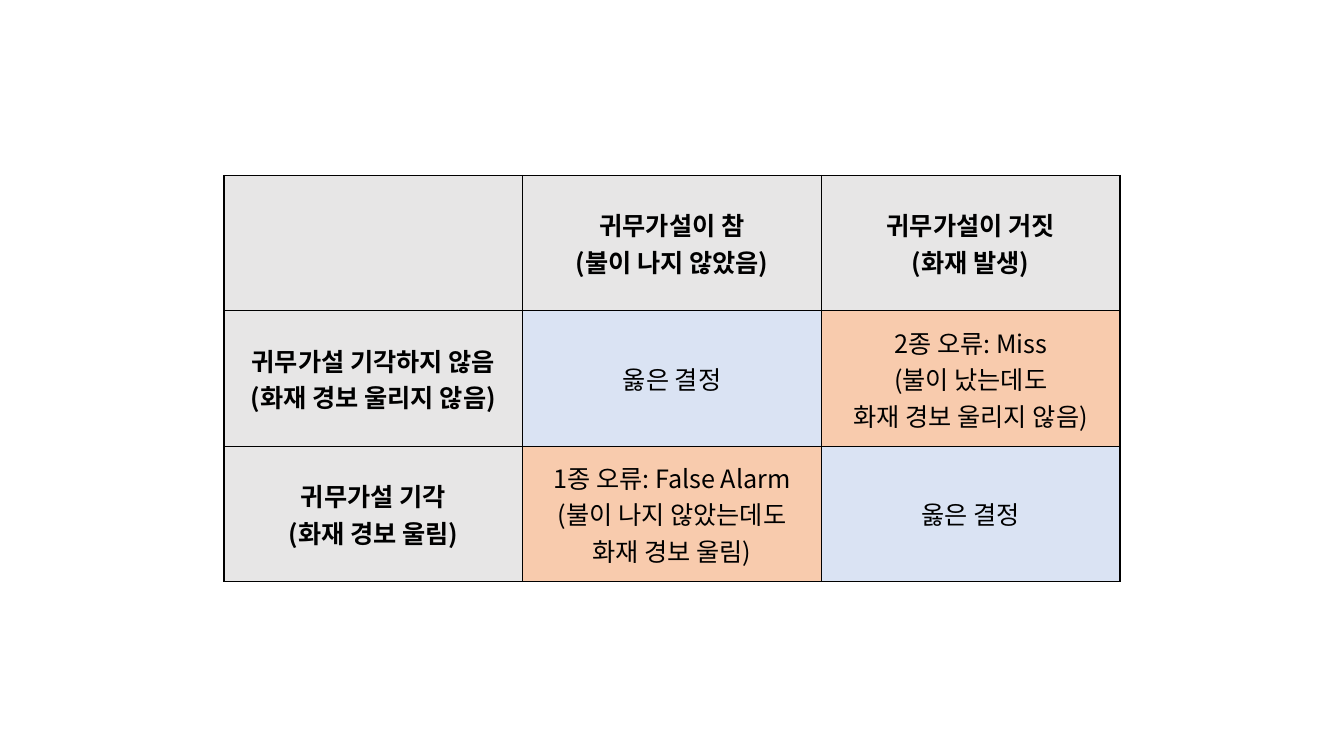
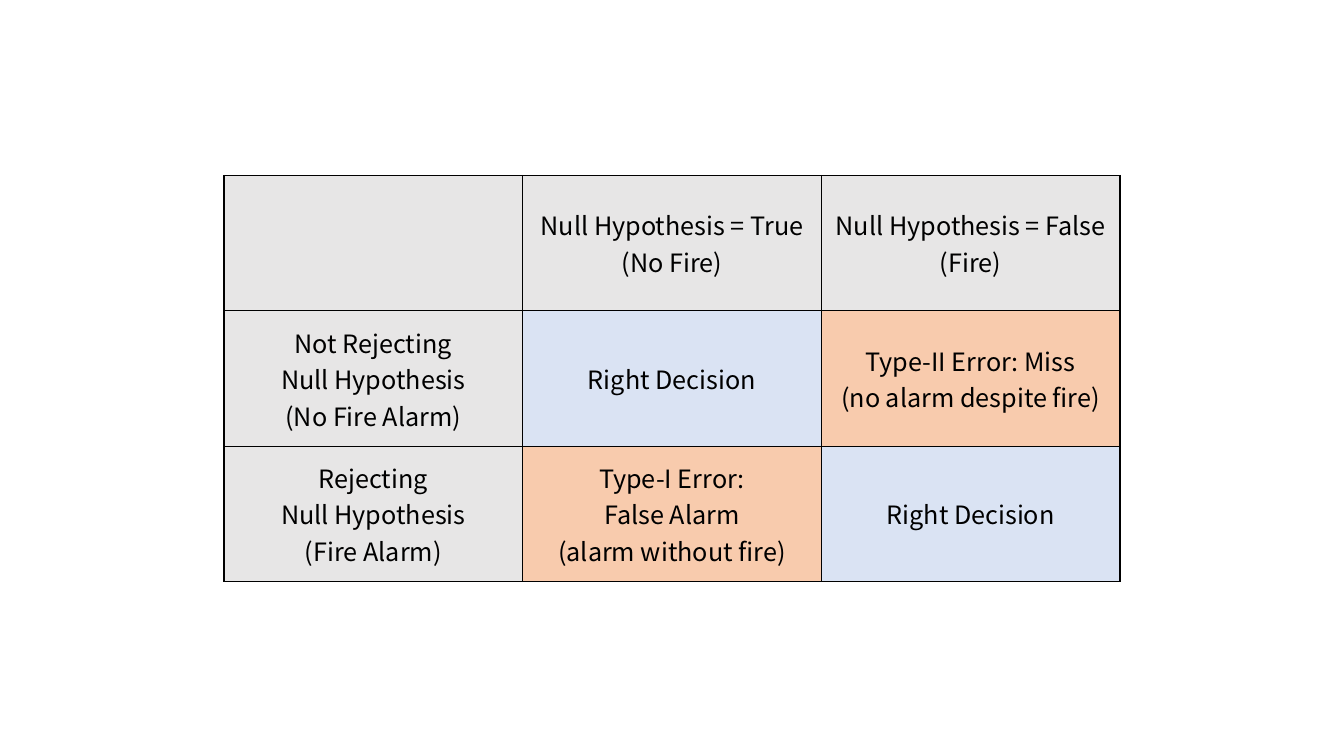
"""Build two slides with the error table of a hypothesis test, in Korean and English."""
from lxml.etree import SubElement
from pptx import Presentation
from pptx.dml.color import RGBColor
from pptx.enum.text import MSO_ANCHOR as Anchor, PP_ALIGN as Align
from pptx.oxml import parse_xml
from pptx.oxml.ns import nsdecls, qn
from pptx.util import Inches, Pt

BLACK = RGBColor(0x00, 0x00, 0x00)
HEADER_GREY = RGBColor(0xE7, 0xE6, 0xE6)
RIGHT_BLUE = RGBColor(0xDA, 0xE3, 0xF3)
ERROR_ORANGE = RGBColor(0xF8, 0xCB, 0xAD)

FONT = "Noto Sans CJK KR"
FONT_SIZE = Pt(18)
BORDER = Pt(1)
SLIDE_WIDTH, SLIDE_HEIGHT = Inches(13.33), Inches(7.5)
TABLE_LEFT, TABLE_TOP = SLIDE_WIDTH // 6, Inches(1.74)
TABLE_WIDTH, TABLE_HEIGHT = SLIDE_WIDTH * 2 // 3, Inches(4.03)
BLANK_LAYOUT = 6

KOREAN = [
    ["", "귀무가설이 참\n(불이 나지 않았음)", "귀무가설이 거짓\n(화재 발생)"],
    ["귀무가설 기각하지 않음\n(화재 경보 울리지 않음)", "옳은 결정",
     "2종 오류: Miss\n(불이 났는데도\v화재 경보 울리지 않음)"],
    ["귀무가설 기각\n(화재 경보 울림)",
     "1종 오류: False Alarm\n(불이 나지 않았는데도\v화재 경보 울림)", "옳은 결정"],
]
ENGLISH = [
    ["", "Null Hypothesis = True\n(No Fire)", "Null Hypothesis = False\n(Fire)"],
    ["Not Rejecting\nNull Hypothesis\n(No Fire Alarm)", "Right Decision",
     "Type-II Error: Miss\n(no alarm despite fire)"],
    ["Rejecting\nNull Hypothesis\n(Fire Alarm)",
     "Type-I Error:\vFalse Alarm\n(alarm without fire)", "Right Decision"],
]


def cell_color(row, column):
    if row == 0 or column == 0:
        return HEADER_GREY
    return RIGHT_BLUE if row == column else ERROR_ORANGE


def add_borders(cell):
    properties = cell._tc.get_or_add_tcPr()
    for index, side in enumerate(("lnL", "lnR", "lnT", "lnB")):
        properties.insert(index, parse_xml(
            f'<a:{side} {nsdecls("a")} w="{BORDER}"><a:solidFill>'
            f'<a:srgbClr val="{BLACK}"/></a:solidFill></a:{side}>'))


def write_cell(cell, text, bold):
    cell.vertical_anchor = Anchor.MIDDLE
    cell.text_frame.text = text
    for para in cell.text_frame.paragraphs:
        para.alignment = Align.CENTER
        for span in para.runs:
            font = span.font
            font.name, font.size, font.bold = FONT, FONT_SIZE, bold
            font.color.rgb = BLACK
            SubElement(span._r.get_or_add_rPr(), qn("a:ea"), typeface=FONT)


def add_decision_table(page, rows, bold_headers):
    table = page.shapes.add_table(len(rows), len(rows[0]), TABLE_LEFT, TABLE_TOP,
                                  TABLE_WIDTH, TABLE_HEIGHT).table
    table.first_row = table.horz_banding = False
    for row, texts in enumerate(rows):
        for column, text in enumerate(texts):
            cell = table.cell(row, column)
            color = cell_color(row, column)
            write_cell(cell, text, bold_headers and color == HEADER_GREY)
            cell.fill.solid()
            cell.fill.fore_color.rgb = color
            add_borders(cell)


def main():
    deck = Presentation()
    deck.slide_width, deck.slide_height = SLIDE_WIDTH, SLIDE_HEIGHT
    for rows, bold_headers in ((KOREAN, True), (ENGLISH, False)):
        page = deck.slides.add_slide(deck.slide_layouts[BLANK_LAYOUT])
        add_decision_table(page, rows, bold_headers)
    deck.save("out.pptx")


if __name__ == "__main__":
    main()
